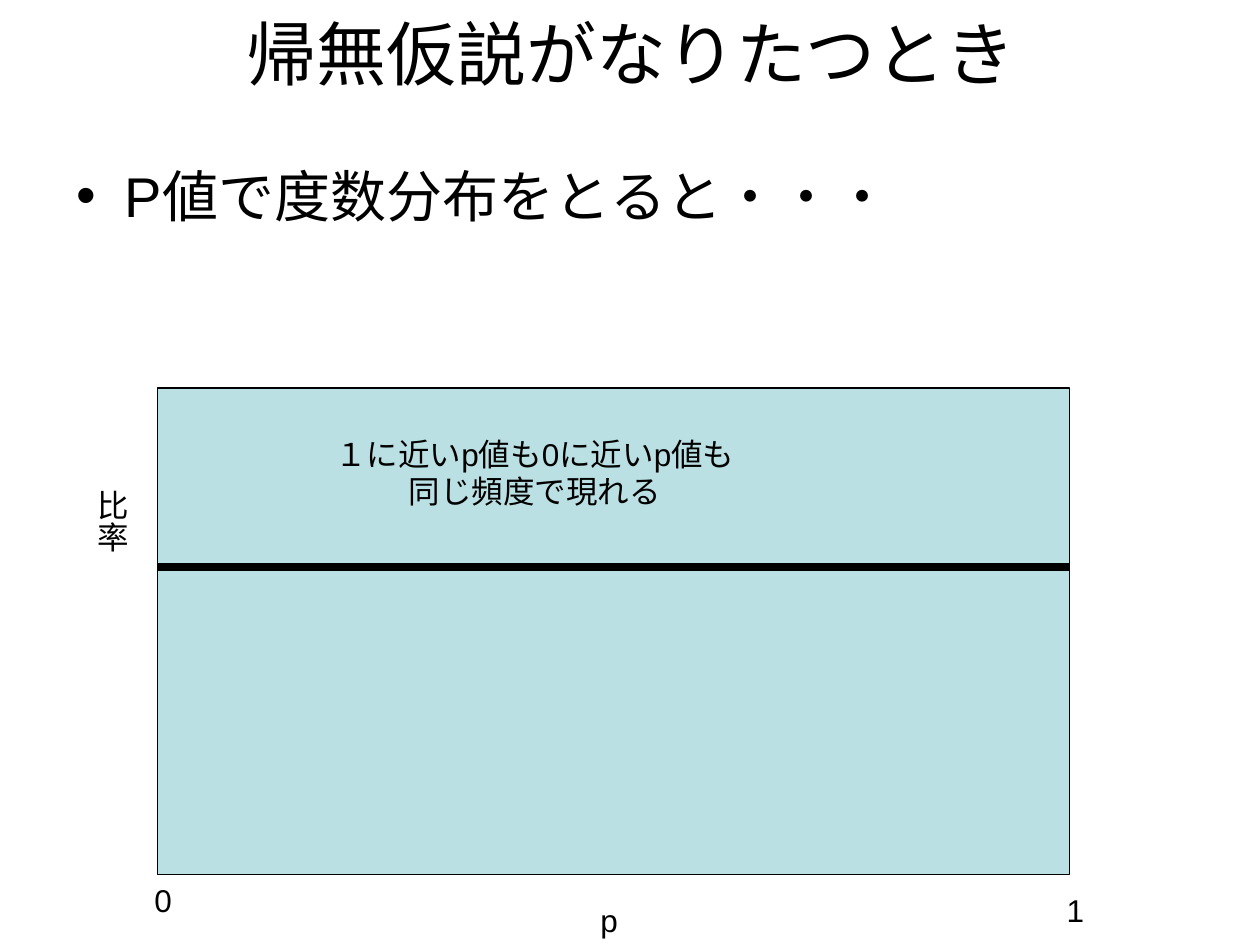
"""Build a slide on how p values are distributed under the null hypothesis."""
from lxml import etree
from pptx import Presentation
from pptx.dml.color import RGBColor
from pptx.enum import shapes, text
from pptx.oxml.ns import qn
from pptx.util import Inches, Pt

TITLE = "帰無仮説がなりたつとき"
POINTS = ["P値で度数分布をとると・・・"]
PLOT = dict(left=1.25, top=3.08, width=7.24, height=3.86)
DENSITY_Y = 4.5
LABELS = [
    ("p", (4.4, 7.1, 0.87, 0.4), False),
    ("1", (8.1, 7.02, 0.87, 0.4), False),
    ("0", (0.86, 6.94, 0.87, 0.4), False),
    ("比率", (0.59, 3.79, 0.5, 1.89), True),
    ("１に近いp値も0に近いp値も同じ頻度で現れる", (2.51, 3.4, 3.47, 0.7), False),
]
THEME = dict(
    font="Arial", ink=RGBColor(0, 0, 0), area=RGBColor(0xBB, 0xE0, 0xE3),
    title=40, body=32, label=18, border=0.75, density=5,
)


def place(part, box):
    for side, value in zip(("left", "top", "width", "height"), box):
        setattr(part, side, Inches(value))


def write(part, lines, size, align, anchor, margins=(0.1, 0.05), bullet=False):
    frame = part.text_frame
    across, down = map(Inches, margins)
    frame_format = dict(
        word_wrap=True, auto_size=text.MSO_AUTO_SIZE.NONE, vertical_anchor=anchor,
        margin_left=across, margin_right=across, margin_top=down, margin_bottom=down,
    )
    for key, value in frame_format.items():
        setattr(frame, key, value)
    frame.text = "\n".join(lines)
    for paragraph in frame.paragraphs:
        paragraph.alignment = align
        paragraph.space_before = Pt(0)
        if bullet:
            properties = paragraph._p.get_or_add_pPr()
            properties.set("marL", str(Inches(0.38)))
            properties.set("indent", str(-Inches(0.38)))
            etree.SubElement(properties, qn("a:buChar")).set("char", "•")
        for key, value in dict(name=THEME["font"], size=Pt(size)).items():
            setattr(paragraph.font, key, value)
        paragraph.font.color.rgb = THEME["ink"]


def draw_plot(group):
    area = group.shapes.add_shape(
        shapes.MSO_SHAPE.RECTANGLE, *map(Inches, PLOT.values()))
    area.shadow.inherit = False
    area.fill.solid()
    area.fill.fore_color.rgb = THEME["area"]
    area.line.color.rgb = THEME["ink"]
    area.line.width = Pt(THEME["border"])

    for label, box, vertical in LABELS:
        caption = group.shapes.add_textbox(*map(Inches, box))
        margins = (0.05, 0.1) if vertical else (0.1, 0.05)
        write(caption, [label], THEME["label"], text.PP_ALIGN.CENTER,
              text.MSO_ANCHOR.TOP, margins)
        if vertical:
            caption.text_frame._txBody.bodyPr.set("vert", "eaVert")

    right = PLOT["left"] + PLOT["width"]
    density = group.shapes.add_connector(
        shapes.MSO_CONNECTOR.STRAIGHT,
        *map(Inches, (PLOT["left"], DENSITY_Y, right, DENSITY_Y)))
    density.line.color.rgb = THEME["ink"]
    density.line.width = Pt(THEME["density"])
    etree.SubElement(density._element.spPr, qn("a:effectLst"))


def main():
    deck = Presentation()
    deck.slide_width, deck.slide_height = Inches(10), Inches(7.5)
    slide = deck.slides.add_slide(deck.slide_layouts[1])
    title, body = slide.placeholders
    place(title, (0.51, 0, 9, 0.84))
    write(title, [TITLE], THEME["title"], text.PP_ALIGN.CENTER, text.MSO_ANCHOR.MIDDLE)
    place(body, (0.51, 1.23, 9, 1.29))
    write(body, POINTS, THEME["body"], text.PP_ALIGN.LEFT, text.MSO_ANCHOR.TOP, bullet=True)
    draw_plot(slide.shapes.add_group_shape())
    deck.save("out.pptx")


if __name__ == "__main__":
    main()
